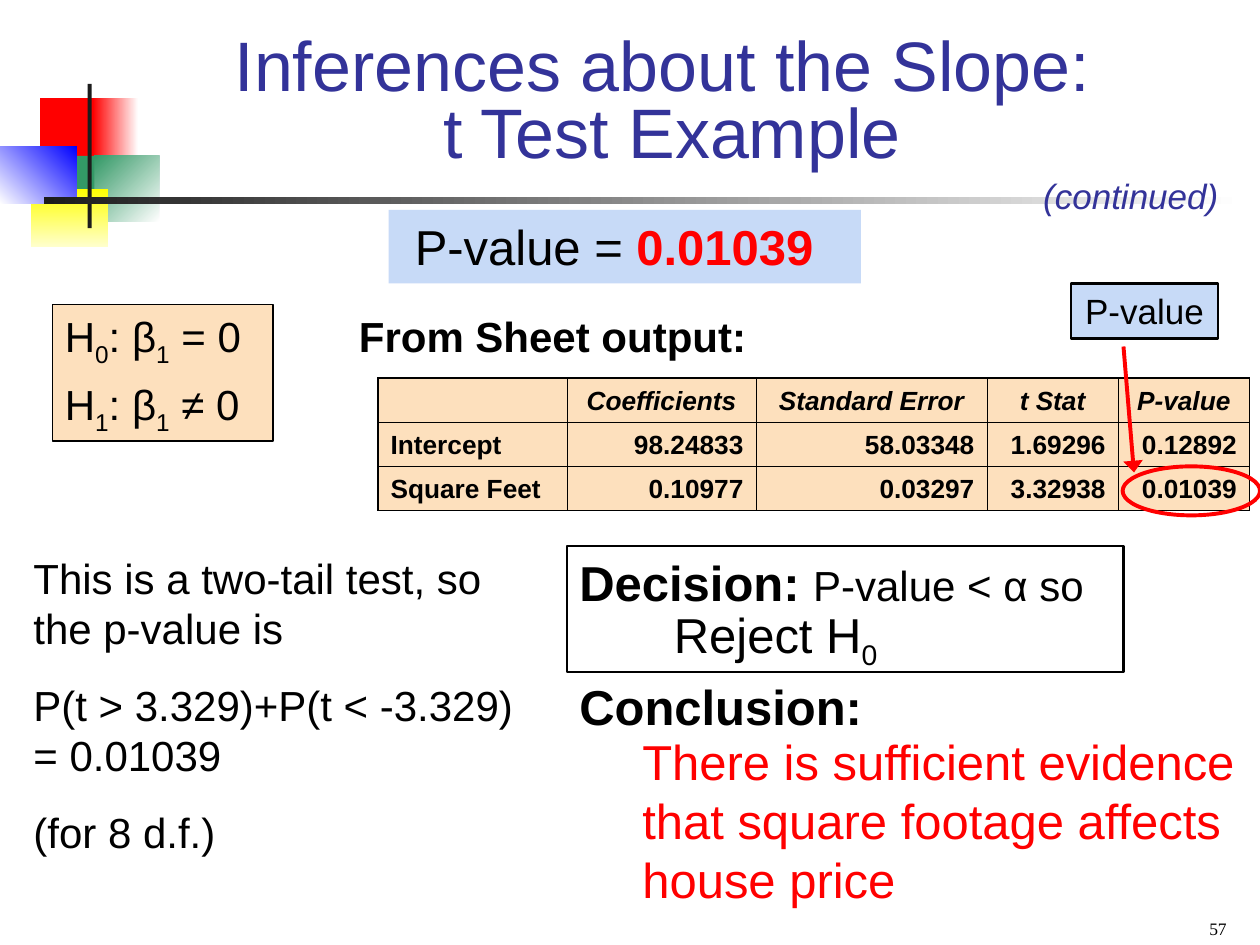
import pptx
import pptx.util
import pptx.dml.color
import pptx.enum.shapes
import pptx.enum.text
import pptx.oxml
import pptx.oxml.ns
from lxml import etree

Pt = pptx.util.Pt
RGB = pptx.dml.color.RGBColor
SHAPE = pptx.enum.shapes.MSO_SHAPE
ALIGN = pptx.enum.text.PP_ALIGN
ANCHOR = pptx.enum.text.MSO_ANCHOR
qn = pptx.oxml.ns.qn

BLACK, WHITE = RGB(0, 0, 0), RGB(255, 255, 255)
RED, BLUE, GREEN = RGB(255, 0, 0), RGB(0, 0, 255), RGB(0x33, 0x99, 0x66)
YELLOW, CREAM = RGB(255, 255, 0), RGB(255, 255, 0xCC)
DARK, NAVY = RGB(0x1C, 0x1C, 0x1C), RGB(0x33, 0x33, 0x99)
PEACH, SKY = RGB(0xFD, 0xE0, 0xBD), RGB(0xC7, 0xDA, 0xF7)

# Content: a paragraph is a list of (text, format changes)
SUB = {"sub": True}
TITLE = [[("Inferences about the Slope: ", {}), ("\v", {}), ("t Test Example", {})]]
HYPOTHESES = [
    [("H", {}), ("0", SUB), (": β", {}), ("1", SUB), (" = 0", {})],
    [("H", {}), ("1", SUB), (": β", {}), ("1", SUB), (" ≠ 0", {})],
]
P_RESULT = [[("P-value =", {}), (" 0.01039", {"color": RED, "bold": True})]]
DECISION = [[("Decision: ", {"bold": True}), ("P-value < α so", {"size": 24})]]
CONCLUSION = [[("Conclusion:", {"bold": True})]]
REJECT = [[("Reject H", {}), ("0", SUB)]]
EVIDENCE = "There is sufficient evidence that square footage affects house price"
TWO_TAIL = [
    [("This is a two-tail test, so the p-value is", {})],
    [("P(t > 3.329)+P(t < -3.329) = 0.01039", {})],
    [("(for 8 d.f.)", {})],
]
TABLE = [
    ["", "Coefficients", "Standard Error", "t Stat", "P-value"],
    ["Intercept", "98.24833", "58.03348", "1.69296", "0.12892"],
    ["Square Feet", "0.10977", "0.03297", "3.32938", "0.01039"],
]
COLUMNS, ROW_HEIGHT = [108, 108, 132, 75, 75], 25.2

# Corner decoration: left, top, width, height, first colour, last colour, angle
DECORATION = [
    (23, 56, 34.5, 37.5, RED, None, 0),
    (53, 56, 26, 37.5, WHITE, RED, 180),
    (54, 89, 37, 37.5, WHITE, GREEN, 135),
    (31, 89, 23, 37.5, GREEN, None, 0),
    (18, 108, 44, 33, YELLOW, CREAM, 270),
    (0, 83.5, 44, 33, BLUE, WHITE, 225),
    (50, 48, 2.4, 82.5, DARK, None, 0),
    (25, 112.5, 685, 4, WHITE, DARK, 180),
]


def put(tf, text, size=24, color=BLACK, bold=False, italic=False, font="Arial",
        align=ALIGN.LEFT, anchor=ANCHOR.TOP, before=0, spacing=None):
    """Write text, a string or a list of paragraphs, into a text frame."""
    tf.word_wrap = True
    tf.vertical_anchor = anchor
    for i, runs in enumerate([[(text, {})]] if isinstance(text, str) else text):
        p = tf.add_paragraph() if i else tf.paragraphs[0]
        p.alignment = align
        p.space_before = Pt(before if i else 0)
        if spacing:
            p.line_spacing = spacing
        for words, change in runs:
            if words == "\v":
                p.add_line_break()
                continue
            r = p.add_run()
            r.text = words
            r.font.name = font
            r.font.size = Pt(change.get("size", size))
            r.font.bold = change.get("bold", bold)
            r.font.italic = italic
            r.font.color.rgb = change.get("color", color)
            if change.get("sub"):
                r.font._element.set("baseline", "-25000")


def add_text(s, at, text, **fmt):
    tf = s.shapes.add_textbox(*map(Pt, at)).text_frame
    put(tf, text, **fmt)
    return tf


def add_shape(s, kind, at, fill=None, line=None, width=1.5):
    sp = s.shapes.add_shape(kind, *map(Pt, at))
    sp.shadow.inherit = False
    if fill is None:
        sp.fill.background()
    else:
        sp.fill.solid()
        sp.fill.fore_color.rgb = fill
    if line is None:
        sp.line.fill.background()
    else:
        sp.line.color.rgb = line
        sp.line.width = Pt(width)
    return sp


def set_borders(cell, widths):
    tcPr = cell._tc.get_or_add_tcPr()
    for i, (side, width) in enumerate(widths.items()):
        ln = etree.Element(qn("a:" + side), w=str(int(Pt(width))))
        fill = etree.SubElement(ln, qn("a:solidFill"))
        etree.SubElement(fill, qn("a:srgbClr"), val=str(BLACK))
        tcPr.insert(i, ln)


prs = pptx.Presentation()
prs.slide_width, prs.slide_height = Pt(720), Pt(540)
s = prs.slides.add_slide(prs.slide_layouts[5])

# Corner decoration
for *at, first, last, angle in DECORATION:
    sp = add_shape(s, SHAPE.RECTANGLE, at, first)
    if last is not None:
        sp.fill.gradient()
        sp.fill.gradient_angle = angle
        for stop, color in zip(sp.fill.gradient_stops, (first, last)):
            stop.color.rgb = color

# Title
title = s.shapes.title
title.left, title.top, title.width, title.height = map(Pt, (78, 18, 612, 84))
title.text_frame.auto_size = pptx.enum.text.MSO_AUTO_SIZE.NONE
put(title.text_frame, TITLE, size=40, color=NAVY, align=ALIGN.CENTER,
    anchor=ANCHOR.BOTTOM, spacing=0.8)
add_text(s, (589, 96, 125, 31.5), "(continued)", size=20, color=NAVY, italic=True)

# Hypotheses and p-value
sp = add_shape(s, SHAPE.RECTANGLE, (30, 174, 126, 78), PEACH, BLACK, 1)
put(sp.text_frame, HYPOTHESES, before=6)
sp = add_shape(s, SHAPE.RECTANGLE, (222, 120, 270, 42), SKY)
sp.text_frame.margin_left = Pt(15)
put(sp.text_frame, P_RESULT, size=28)

# Regression table
add_text(s, (198, 174, 289, 36), "From Sheet output:", bold=True)
n_rows, n_cols = len(TABLE), len(COLUMNS)
tbl = s.shapes.add_table(n_rows, n_cols, Pt(216), Pt(216), Pt(sum(COLUMNS)),
                         Pt(n_rows * ROW_HEIGHT)).table
tbl.first_row = tbl.horz_banding = False
for column, width in zip(tbl.columns, COLUMNS):
    column.width = Pt(width)
for i, row in enumerate(TABLE):
    tbl.rows[i].height = Pt(ROW_HEIGHT)
    for j, words in enumerate(row):
        cell = tbl.cell(i, j)
        cell.fill.solid()
        cell.fill.fore_color.rgb = PEACH
        cell.vertical_anchor = ANCHOR.BOTTOM
        outer = {"lnL": j == 0, "lnR": j == n_cols - 1,
                 "lnT": i == 0, "lnB": i == n_rows - 1}
        set_borders(cell, {side: 1.08 if out else 0.45 for side, out in outer.items()})
        if words:
            align = ALIGN.CENTER if i == 0 else ALIGN.RIGHT if j else ALIGN.LEFT
            put(cell.text_frame, words, size=15, bold=True, italic=i == 0,
                align=align, anchor=ANCHOR.BOTTOM)
        else:
            end = cell.text_frame.paragraphs[0]._p.get_or_add_endParaRPr()
            end.set("sz", "1500")

# Callout for the p-value in the table
add_shape(s, SHAPE.OVAL, (641.5, 266.5, 78.5, 28), line=RED, width=2.25)
arrow = s.shapes.add_connector(pptx.enum.shapes.MSO_CONNECTOR.STRAIGHT,
                               Pt(642), Pt(198), Pt(648), Pt(270))
arrow.line.color.rgb = RED
arrow.line.width = Pt(2.25)
spPr = arrow._element.spPr
etree.SubElement(spPr.find(qn("a:ln")), qn("a:tailEnd"), type="triangle", w="lg")
etree.SubElement(spPr, qn("a:effectLst"))
sp = add_shape(s, SHAPE.RECTANGLE, (612, 162, 84, 31.5), SKY, BLACK)
put(sp.text_frame, "P-value", size=20, align=ALIGN.CENTER)

# Decision and conclusion
tf = add_text(s, (324, 312, 360, 112), DECISION + CONCLUSION, size=28, before=17.5)
tf.paragraphs[1].line_spacing = 1.6
add_shape(s, SHAPE.RECTANGLE, (324, 312, 318, 72), line=BLACK)
add_text(s, (378, 342, 312, 45), REJECT, size=28)
add_text(s, (360, 414.5, 360, 108), EVIDENCE, size=28, color=RED)

# Two-tail explanation and slide number
add_text(s, (12, 312, 300, 181), TWO_TAIL, before=15)
add_text(s, (540, 515, 168, 25), "57", size=10, font="Times New Roman",
         align=ALIGN.RIGHT, anchor=ANCHOR.BOTTOM)

prs.save("out.pptx")
